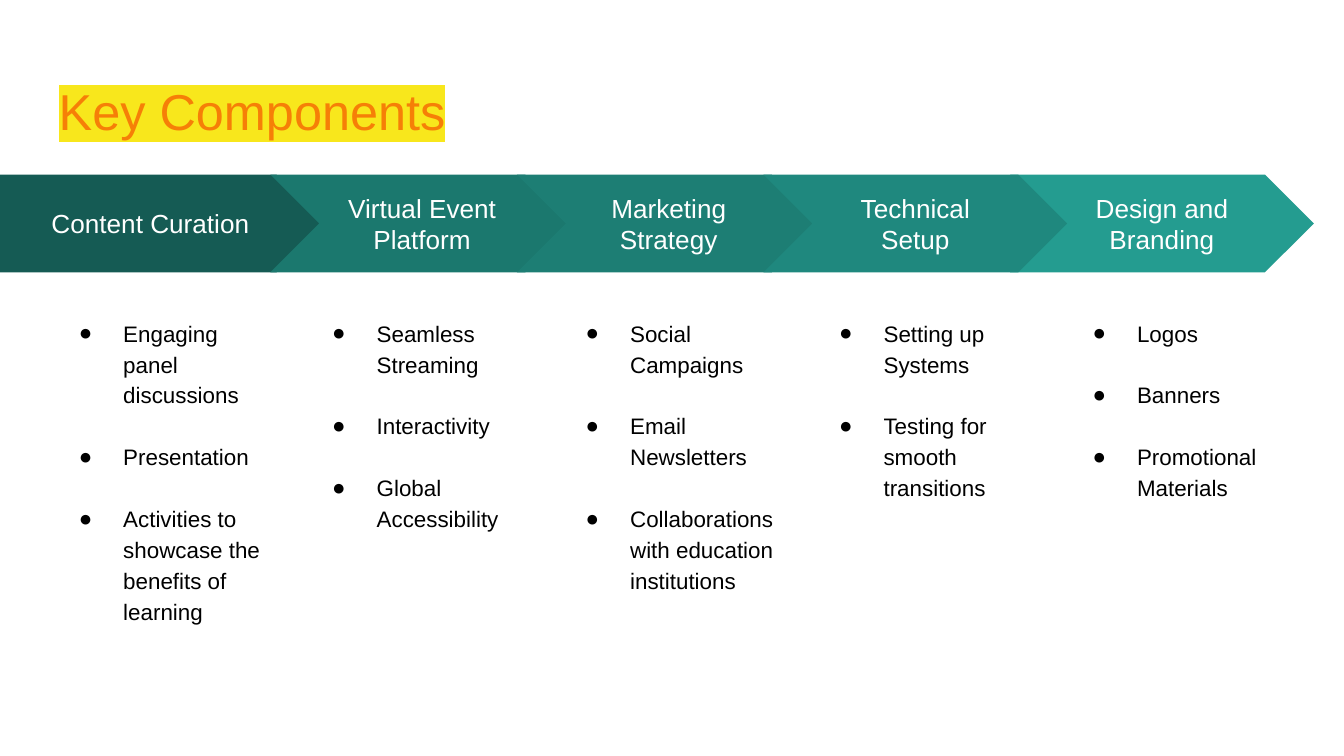
import dataclasses

import lxml.etree
import pptx
import pptx.dml.color
import pptx.enum.shapes
import pptx.enum.text
import pptx.oxml.ns
import pptx.util

Cm = pptx.util.Cm
Pt = pptx.util.Pt
Kind = pptx.enum.shapes.MSO_SHAPE
Align = pptx.enum.text.PP_ALIGN
Anchor = pptx.enum.text.MSO_ANCHOR
qn = pptx.oxml.ns.qn


@dataclasses.dataclass(frozen=True)
class Theme:
    font: str = "Arial"
    title: str = "F67F07"
    mark: str = "F8E71C"
    label: str = "FFFFFF"
    body: str = "000000"
    shades: tuple = ("155B54", "1B786E", "1D7E74", "1F887E", "249C90")
    large: float = 27
    medium: float = 14
    small: float = 12
    gap: float = 16.5


STEPS = [
    ("Content Curation", ["Engaging panel discussions", "Presentation",
                          "Activities to showcase the benefits of learning"]),
    ("Virtual Event Platform", ["Seamless Streaming", "Interactivity",
                                "Global Accessibility"]),
    ("Marketing Strategy", ["Social Campaigns", "Email Newsletters",
                            "Collaborations with education institutions"]),
    ("Technical Setup", ["Setting up Systems",
                         "Testing for smooth transitions"]),
    ("Design and Branding", ["Logos", "Banners", "Promotional Materials"]),
]
ORDER = (0, 1, 2, 4, 3)


class Board:
    """Draws styled elements on the current slide."""

    def __init__(self, deck, theme):
        self.theme = theme
        self.slide = deck.slides.add_slide(deck.slide_layouts[5])

    def frame(self, shape, anchor):
        frame = shape.text_frame
        frame.word_wrap = True
        frame.auto_size = pptx.enum.text.MSO_AUTO_SIZE.NONE
        frame.vertical_anchor = anchor
        frame.margin_left = frame.margin_right = Cm(0.25)
        frame.margin_top = frame.margin_bottom = Cm(0.25)
        return frame

    def style(self, para, size, color, align, mark=None):
        para.alignment = align
        for run in para.runs:
            run.font.size = Pt(size)
            run.font.color.rgb = pptx.dml.color.RGBColor.from_string(color)
            if mark:
                light = lxml.etree.SubElement(run.font._element, qn("a:highlight"))
                lxml.etree.SubElement(light, qn("a:srgbClr"), val=mark)
            run.font.name = self.theme.font

    def title(self, text, left, top, width, height):
        shape = self.slide.shapes.title
        shape.left, shape.top = Cm(left), Cm(top)
        shape.width, shape.height = Cm(width), Cm(height)
        frame = self.frame(shape, Anchor.TOP)
        frame.text = text
        self.style(frame.paragraphs[0], self.theme.large, self.theme.title,
                   Align.LEFT, self.theme.mark)

    def arrow(self, kind, text, fill, left, top, width, height):
        shape = self.slide.shapes.add_shape(
            kind, Cm(left), Cm(top), Cm(width), Cm(height))
        shape.shadow.inherit = False
        shape.adjustments[0] = 0.5
        shape.fill.solid()
        shape.fill.fore_color.rgb = pptx.dml.color.RGBColor.from_string(fill)
        shape.line.fill.background()
        frame = self.frame(shape, Anchor.MIDDLE)
        frame.text = text
        self.style(frame.paragraphs[0], self.theme.medium, self.theme.label,
                   Align.CENTER)

    def bullets(self, items, left, top, width, height):
        box = self.slide.shapes.add_textbox(
            Cm(left), Cm(top), Cm(width), Cm(height))
        frame = self.frame(box, Anchor.TOP)
        frame.text = "\n".join(items)
        for spot, para in enumerate(frame.paragraphs):
            self.style(para, self.theme.small, self.theme.body, Align.LEFT)
            para.line_spacing = 1.15
            para.space_before = Pt(self.theme.gap if spot else 0)
            props = para._p.get_or_add_pPr()
            props.set("marL", str(Cm(1.27)))
            props.set("indent", str(-Cm(0.84)))
            tint = lxml.etree.SubElement(props, qn("a:buClr"))
            lxml.etree.SubElement(tint, qn("a:srgbClr"), val=self.theme.body)
            lxml.etree.SubElement(props, qn("a:buFont"), typeface=self.theme.font)
            lxml.etree.SubElement(props, qn("a:buChar"), char="●")


def main():
    deck = pptx.Presentation()
    deck.slide_width, deck.slide_height = Cm(25.4), Cm(14.29)
    theme = Theme()
    board = Board(deck, theme)
    board.title("Key Components", 0.86, 1.27, 23.67, 1.6)
    for spot in ORDER:
        head, items = STEPS[spot]
        if spot == 0:
            kind, left, width = Kind.PENTAGON, 0, 6.15
        else:
            kind, left, width = Kind.CHEVRON, 5.11 + 4.66 * (spot - 1), 5.74
        board.arrow(kind, head, theme.shades[spot], left, 3.3, width, 1.85)
        tall = 7.85 if spot == 2 else 6.53
        board.bullets(items, 0.81 + 4.79 * spot, 5.72, 4.52, tall)
    deck.save("out.pptx")


if __name__ == "__main__":
    main()
